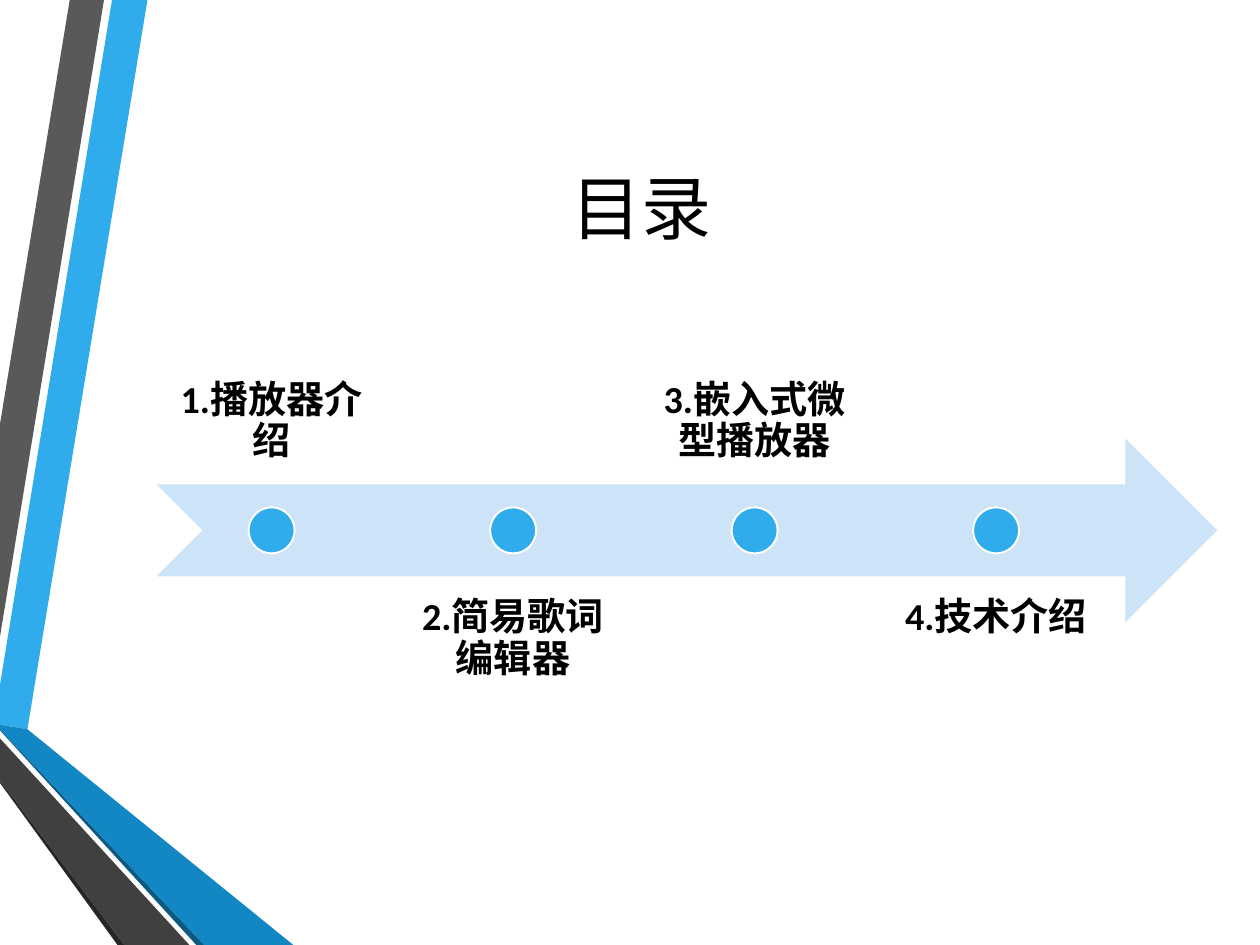
from dataclasses import dataclass

from lxml import etree
from pptx import Presentation
from pptx.dml.color import RGBColor
from pptx.enum.shapes import MSO_SHAPE
from pptx.enum.text import MSO_ANCHOR, MSO_AUTO_SIZE, PP_ALIGN
from pptx.oxml.ns import qn
from pptx.util import Inches, Pt

ARROW = MSO_SHAPE.NOTCHED_RIGHT_ARROW
DOT = MSO_SHAPE.OVAL
TOP, MIDDLE, BOTTOM = MSO_ANCHOR.TOP, MSO_ANCHOR.MIDDLE, MSO_ANCHOR.BOTTOM
CENTER = PP_ALIGN.CENTER
NO_FIT = MSO_AUTO_SIZE.NONE
TITLE_ONLY = 5


@dataclass(frozen=True)
class Theme:
    text: str = "000000"
    white: str = "FFFFFF"
    blue: str = "30ACEC"
    blue_mid: str = "1287C3"
    blue_dark: str = "0C5A82"
    pale: str = "CDE3F8"
    gray: str = "595959"
    gray_mid: str = "404040"
    gray_dark: str = "262626"
    latin: str = "Calibri"
    cjk: str = "Noto Sans CJK SC"
    title_size: float = 44.1
    label_size: float = 24
    dot_line: float = 1.25


THEME = Theme()
SLIDE_SIZE = Pt(793.75), Pt(595.25)
UNIT = Inches(0.01)
RIBBONS = [
    (THEME.blue, [(0, 599), (0, 634), (24, 638), (129, 0), (98, 0)]),
    (THEME.gray, [(91, 0), (61, 0), (0, 371), (0, 557)]),
    (THEME.gray_dark, [(0, 683), (0, 685), (103, 827), (109, 827)]),
    (THEME.blue_dark, [(0, 638), (0, 639), (172, 827), (179, 827)]),
    (THEME.blue_mid, [(0, 638), (179, 827), (257, 827), (24, 638), (0, 634)]),
    (THEME.gray_mid, [(0, 683), (109, 827), (166, 827), (0, 646)]),
]
TOPICS = ["1.播放器介绍", "2.简易歌词编辑器", "3.嵌入式微型播放器", "4.技术介绍"]


def inches(*lengths):
    return [Inches(n) for n in lengths]


def paint(sp, fill, line=None):
    sp.shadow.inherit = False
    sp.fill.solid()
    sp.fill.fore_color.rgb = RGBColor.from_string(fill)
    if line:
        sp.line.color.rgb = RGBColor.from_string(line)
        sp.line.width = Pt(THEME.dot_line)
    else:
        sp.line.fill.background()


def write(sp, text, size, font, bold=False, anchor=MIDDLE, inset=None, spacing=None):
    tf = sp.text_frame
    tf.word_wrap = True
    tf.auto_size = NO_FIT
    tf.vertical_anchor = anchor
    if inset is not None:
        tf.margin_left = tf.margin_right = Inches(inset)
        tf.margin_top = tf.margin_bottom = Inches(inset)
    p = tf.paragraphs[0]
    p.alignment = CENTER
    if spacing:
        p.line_spacing = spacing
    r = p.add_run()
    r.text = text
    r.font.size = Pt(size)
    r.font.bold = bold
    r.font.name = font
    r.font.color.rgb = RGBColor.from_string(THEME.text)
    etree.SubElement(r.font._element, qn("a:ea"), typeface=THEME.cjk)


def add_ribbons(s, x, y):
    for color, points in RIBBONS:
        outline = s.shapes.build_freeform(*points[0], scale=UNIT)
        outline.add_line_segments(points[1:], close=True)
        paint(outline.convert_to_shape(*inches(x, y)), color)


def add_title(s, x, y, w, h):
    sp = s.shapes.title
    sp.left, sp.top, sp.width, sp.height = inches(x, y, w, h)
    write(sp, "目录", THEME.title_size, THEME.cjk)


def add_timeline(s, x, y, w, h):
    row = 0.4 * h
    arrow = s.shapes.add_shape(ARROW, *inches(x, y + 0.3 * h, w, row))
    paint(arrow, THEME.pale)
    column = 0.9 * w / (len(TOPICS) + 0.05 * (len(TOPICS) - 1))
    dot = row / 4
    for i, topic in enumerate(TOPICS):
        left = x + 1.05 * column * i
        above = i % 2 == 0
        top = y if above else y + h - row
        label = s.shapes.add_textbox(*inches(left, top, column, row))
        write(label, topic, THEME.label_size, THEME.latin, bold=True,
              anchor=BOTTOM if above else TOP, inset=0.19, spacing=0.9)
        marker = s.shapes.add_shape(
            DOT, *inches(left + (column - dot) / 2, y + (h - dot) / 2, dot, dot))
        paint(marker, THEME.blue, THEME.white)


def main():
    prs = Presentation()
    prs.slide_width, prs.slide_height = SLIDE_SIZE
    s = prs.slides.add_slide(prs.slide_layouts[TITLE_ONLY])
    s.background.fill.solid()
    s.background.fill.fore_color.rgb = RGBColor.from_string(THEME.white)
    add_ribbons(s, 0, 0)
    add_title(s, 0.97, 0.61, 9.29, 2.39)
    add_timeline(s, 1.37, 2.63, 9.28, 4.02)
    prs.save("out.pptx")


if __name__ == "__main__":
    main()
